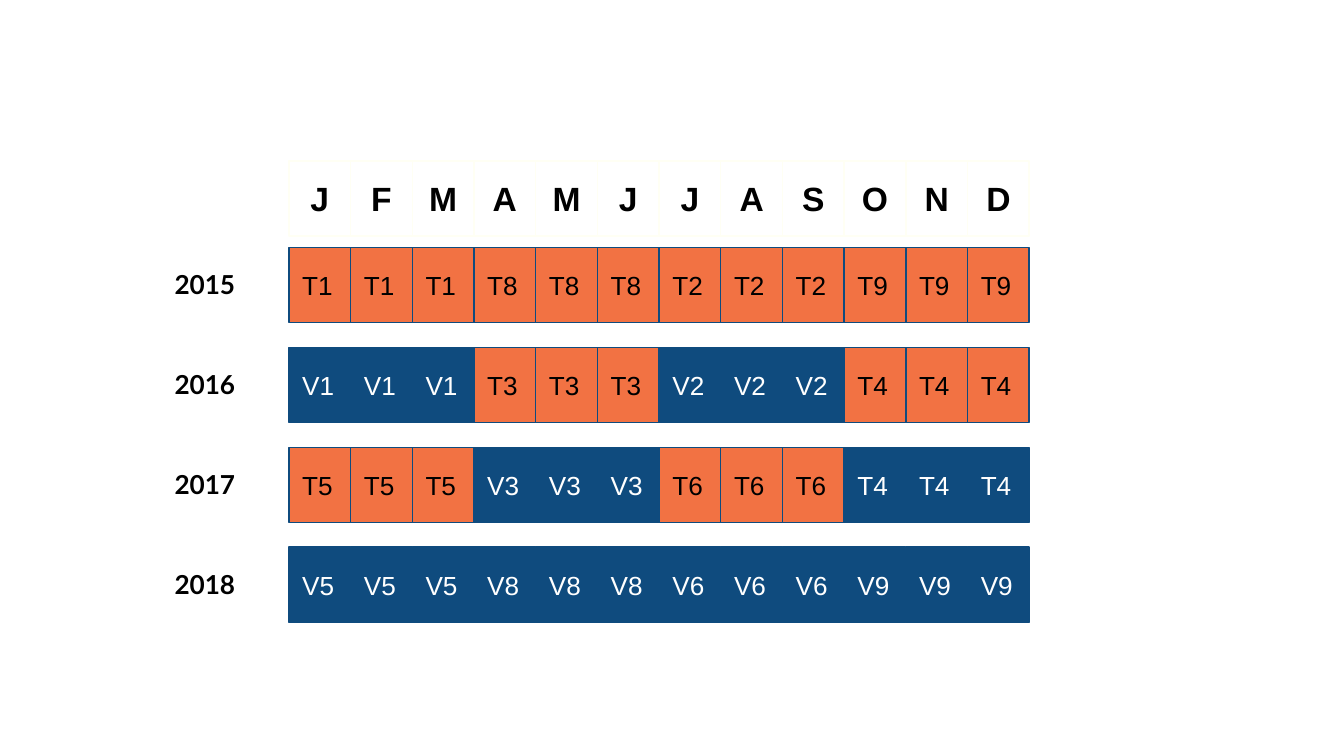
from pptx import Presentation
from pptx.dml.color import RGBColor
from pptx.enum.shapes import MSO_SHAPE as Shape
from pptx.enum.text import MSO_ANCHOR as Anchor, MSO_AUTO_SIZE as AutoSize, PP_ALIGN as Align
from pptx.util import Pt

ORANGE, BLUE, BLACK, WHITE, IVORY = "F27243", "0F4B7E", "000000", "FFFFFF", "FFFFF4"

GRID_LEFT, HEADER_TOP, FIRST_ROW_TOP = 154.8, 86.2, 132.5
CELL_WIDTH, CELL_HEIGHT, ROW_PITCH = 33.05, 40.3, 53.55
YEAR_LEFT, YEAR_DROP, YEAR_WIDTH, YEAR_HEIGHT = 86.4, 4.3, 54, 31.7
MONTHS_PER_QUARTER = 3

MONTHS = "JFMAMJJASOND"
# Each year has four quarters, given as label and fill.
YEARS = {
    "2015": [("T1", ORANGE), ("T8", ORANGE), ("T2", ORANGE), ("T9", ORANGE)],
    "2016": [("V1", BLUE), ("T3", ORANGE), ("V2", BLUE), ("T4", ORANGE)],
    "2017": [("T5", ORANGE), ("V3", BLUE), ("T6", ORANGE), ("T4", BLUE)],
    "2018": [("V5", BLUE), ("V8", BLUE), ("V6", BLUE), ("V9", BLUE)],
}
TEXT_COLOURS = {ORANGE: BLACK, BLUE: WHITE}

FRAME_FORMAT = {
    "word_wrap": True,
    "margin_left": Pt(7.2),
    "margin_top": Pt(7.2),
    "margin_right": Pt(7.2),
    "margin_bottom": Pt(7.2),
}
YEAR_FONT = {"name": "Lato", "size": Pt(14), "bold": True}
MONTH_FONT = {"name": "Arial", "size": Pt(18), "bold": True}
CELL_FONT = {"name": "Arial", "size": Pt(14), "bold": False}


def colour(hex_string):
    return RGBColor.from_string(hex_string)


def apply_format(target, values):
    for name, value in values.items():
        setattr(target, name, value)


def write_text(shape, text, font, text_colour, align, **frame_options):
    frame = shape.text_frame
    apply_format(frame, {**FRAME_FORMAT, **frame_options})
    paragraph = frame.paragraphs[0]
    paragraph.alignment = align
    run = paragraph.add_run()
    run.text = text
    apply_format(run.font, font)
    run.font.color.rgb = colour(text_colour)


def add_cell(group, column, top, text, fill, line, font, text_colour, align):
    left = GRID_LEFT + column * CELL_WIDTH
    cell = group.shapes.add_shape(
        Shape.RECTANGLE, Pt(left), Pt(top), Pt(CELL_WIDTH), Pt(CELL_HEIGHT))
    cell.shadow.inherit = False
    cell.fill.solid()
    cell.fill.fore_color.rgb = colour(fill)
    cell.line.color.rgb = colour(line)
    cell.line.width = Pt(0.75)
    write_text(cell, text, font, text_colour, align, vertical_anchor=Anchor.MIDDLE)


def add_year_label(group, year, top):
    label = group.shapes.add_textbox(
        Pt(YEAR_LEFT), Pt(top + YEAR_DROP), Pt(YEAR_WIDTH), Pt(YEAR_HEIGHT))
    write_text(label, year, YEAR_FONT, BLACK, Align.LEFT,
               auto_size=AutoSize.SHAPE_TO_FIT_TEXT)


def add_year_row(slide, year, quarters, top):
    group = slide.shapes.add_group_shape()
    add_year_label(group, year, top)
    for column in range(len(MONTHS)):
        text, fill = quarters[column // MONTHS_PER_QUARTER]
        add_cell(group, column, top, text, fill, BLUE, CELL_FONT,
                 TEXT_COLOURS[fill], Align.LEFT)


def add_month_header(slide):
    group = slide.shapes.add_group_shape()
    for column, month in enumerate(MONTHS):
        add_cell(group, column, HEADER_TOP, month, WHITE, IVORY, MONTH_FONT,
                 BLACK, Align.CENTER)


def main():
    presentation = Presentation()
    presentation.slide_width = Pt(720)
    presentation.slide_height = Pt(405)
    slide = presentation.slides.add_slide(presentation.slide_layouts[6])
    for row, (year, quarters) in enumerate(YEARS.items()):
        add_year_row(slide, year, quarters, FIRST_ROW_TOP + row * ROW_PITCH)
    add_month_header(slide)
    presentation.save("out.pptx")


if __name__ == "__main__":
    main()
